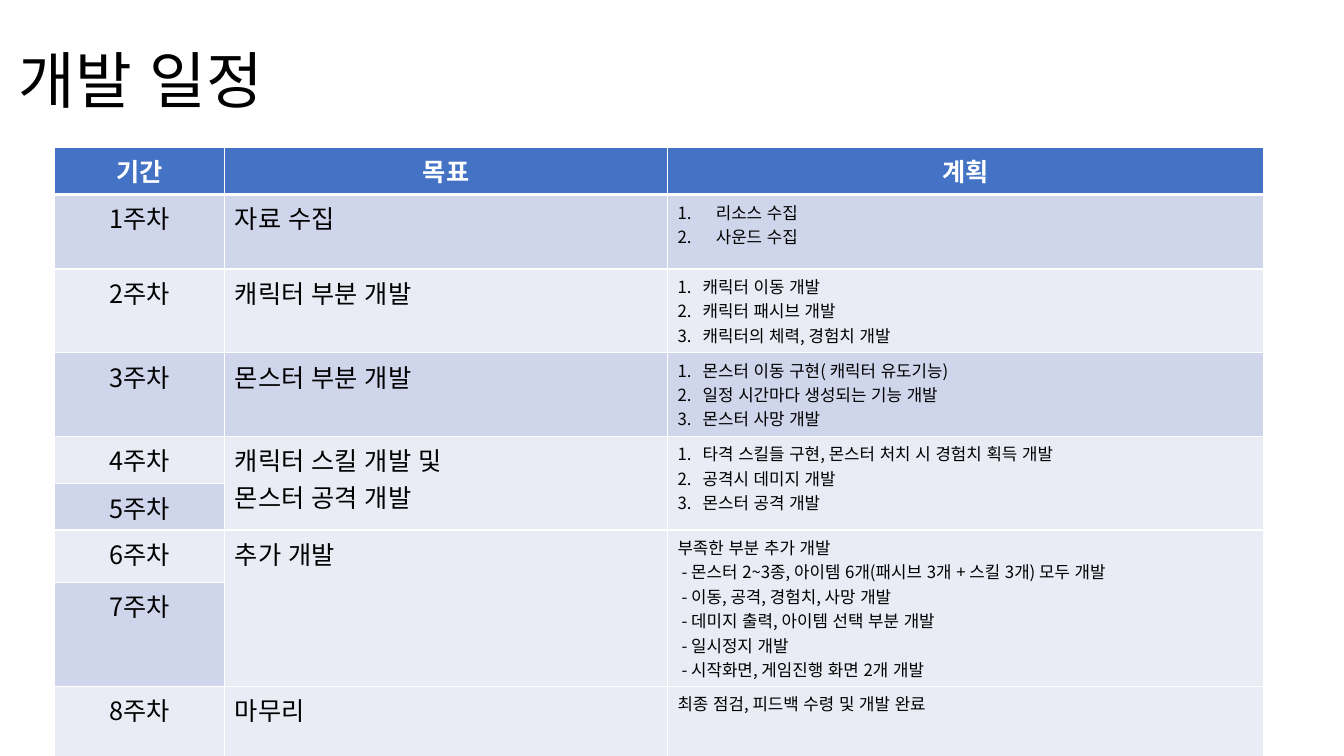
from lxml.etree import SubElement
from pptx import Presentation
from pptx.dml.color import RGBColor
from pptx.enum.lang import MSO_LANGUAGE_ID as Language
from pptx.enum.text import MSO_ANCHOR as Anchor, PP_ALIGN as Align
from pptx.oxml.ns import qn
from pptx.util import Inches, Pt

FONT = "Noto Sans CJK KR"
COLORS = {"text": "000000", "white": "FFFFFF", "header": "4472C4",
          "odd": "CFD5EA", "even": "E9EBF5"}
GRID = Inches(0.1)
COLUMN_WIDTHS = [16.9, 43.9, 59.1]
ROW_HEIGHTS = [4.7, 7.4, 8.3, 8.3, 4.7, 4.6, 5.2, 10.3, 7.4]
HEADERS = ["기간", "목표", "계획"]
NUMBERED_INDENT = 2.5
WIDE_INDENT = 3.8
DASH_INDENT = 0.4
SCHEDULE = [
    (1, 1, ["자료 수집"], WIDE_INDENT, ["리소스 수집", "사운드 수집"]),
    (2, 1, ["캐릭터 부분 개발"], NUMBERED_INDENT,
     ["캐릭터 이동 개발", "캐릭터 패시브 개발", "캐릭터의 체력, 경험치 개발"]),
    (3, 1, ["몬스터 부분 개발"], NUMBERED_INDENT,
     ["몬스터 이동 구현( 캐릭터 유도기능)", "일정 시간마다 생성되는 기능 개발",
      "몬스터 사망 개발"]),
    (4, 2, ["캐릭터 스킬 개발 및", "몬스터 공격 개발"], NUMBERED_INDENT,
     ["타격 스킬들 구현, 몬스터 처치 시 경험치 획득 개발", "공격시 데미지 개발",
      "몬스터 공격 개발"]),
    (6, 2, ["추가 개발"], 0,
     ["부족한 부분 추가 개발",
      "- 몬스터 2~3종, 아이템 6개(패시브 3개 + 스킬 3개) 모두 개발",
      "- 이동, 공격, 경험치, 사망 개발",
      "- 데미지 출력, 아이템 선택 부분 개발",
      "- 일시정지 개발",
      "- 시작화면, 게임진행 화면 2개 개발"]),
    (8, 1, ["마무리"], 0, ["최종 점검, 피드백 수령 및 개발 완료"]),
]


def cells(count):
    """Return the length of a number of grid cells."""
    return int(count * GRID)


def color(name):
    """Return a named colour."""
    return RGBColor.from_string(COLORS[name])


def indent_paragraph(paragraph, indent, numbered):
    """Indent a paragraph and number it if asked."""
    properties = paragraph._p.get_or_add_pPr()
    properties.set("marL", str(cells(indent)))
    if numbered:
        properties.set("indent", str(-cells(indent)))
        SubElement(properties, qn("a:buFont"), typeface="+mj-lt")
        SubElement(properties, qn("a:buAutoNum"), type="arabicPeriod")


def write_lines(frame, lines, size, shade="text", bold=False,
                align=Align.LEFT, indent=0):
    """Write one paragraph per line with a common style."""
    for index, line in enumerate(lines):
        paragraph = frame.paragraphs[0] if index == 0 else frame.add_paragraph()
        paragraph.text = line
        paragraph.alignment = align
        if indent:
            indent_paragraph(paragraph, indent, True)
        elif line.startswith("- "):
            indent_paragraph(paragraph, DASH_INDENT, False)
        font = paragraph.font
        font.name, font.size, font.bold = FONT, Pt(size), bold
        font.color.rgb = color(shade)
        SubElement(font._element, qn("a:ea"), typeface=FONT)
        for run in paragraph.runs:
            run.font.language_id = Language.KOREAN


def style_cell(cell, shade, bottom=1):
    """Give a cell white borders and a fill."""
    properties = cell._tc.get_or_add_tcPr()
    for side, width in zip("LRTB", (1, 1, 1, bottom)):
        line = SubElement(properties, qn(f"a:ln{side}"), w=str(Pt(width)))
        fill = SubElement(line, qn("a:solidFill"))
        SubElement(fill, qn("a:srgbClr"), val=COLORS["white"])
    cell.fill.solid()
    cell.fill.fore_color.rgb = color(shade)


def add_title(slide, text):
    """Add the slide title."""
    box = slide.shapes.add_textbox(cells(0.9), cells(1), cells(115), cells(14.5))
    frame = box.text_frame
    frame.word_wrap = True
    frame.vertical_anchor = Anchor.MIDDLE
    write_lines(frame, [text], 44)
    frame.paragraphs[0].line_spacing = 0.9


def add_schedule(slide):
    """Add the table of weeks, goals and plans."""
    table = slide.shapes.add_table(
        len(ROW_HEIGHTS), len(COLUMN_WIDTHS), cells(5.4), cells(14.6),
        cells(sum(COLUMN_WIDTHS)), cells(sum(ROW_HEIGHTS))).table
    for column, width in zip(table.columns, COLUMN_WIDTHS):
        column.width = cells(width)
    for row, height in zip(table.rows, ROW_HEIGHTS):
        row.height = cells(height)
    for index, header in enumerate(HEADERS):
        cell = table.cell(0, index)
        style_cell(cell, "header", 3)
        write_lines(cell.text_frame, [header], 18, "white", True, Align.CENTER)
    for week in range(1, len(ROW_HEIGHTS)):
        for index in range(len(HEADERS)):
            style_cell(table.cell(week, index), "odd" if week % 2 else "even")
        write_lines(table.cell(week, 0).text_frame, [f"{week}주차"], 18,
                    align=Align.CENTER)
    for week, span, goals, indent, plans in SCHEDULE:
        goal, plan = table.cell(week, 1), table.cell(week, 2)
        if span > 1:
            for index, cell in enumerate((goal, plan), 1):
                cell.merge(table.cell(week + span - 1, index))
        write_lines(goal.text_frame, goals, 18)
        write_lines(plan.text_frame, plans, 12, indent=indent)


def main():
    """Build and save the slide."""
    presentation = Presentation()
    presentation.slide_width = Inches(13.33)
    presentation.slide_height = Inches(7.5)
    slide = presentation.slides.add_slide(presentation.slide_layouts[6])
    add_title(slide, "개발 일정")
    add_schedule(slide)
    presentation.save("out.pptx")


if __name__ == "__main__":
    main()
